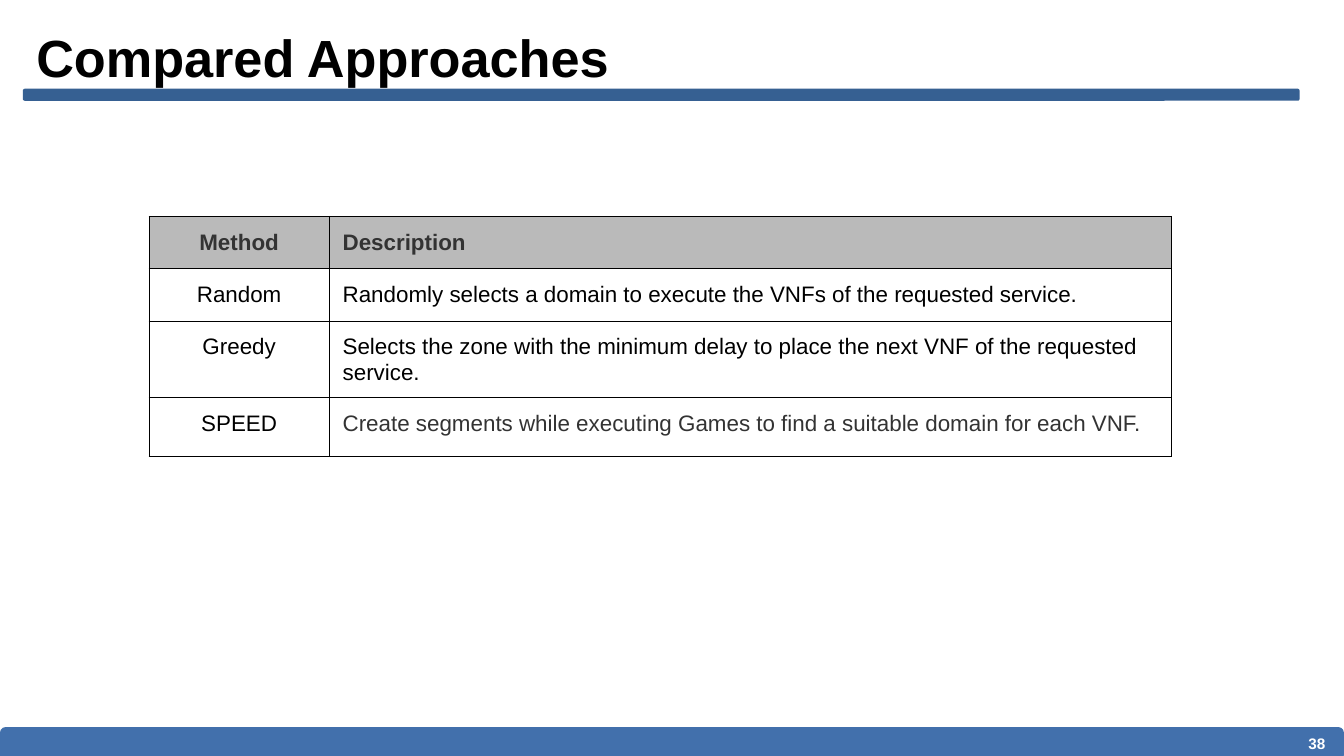
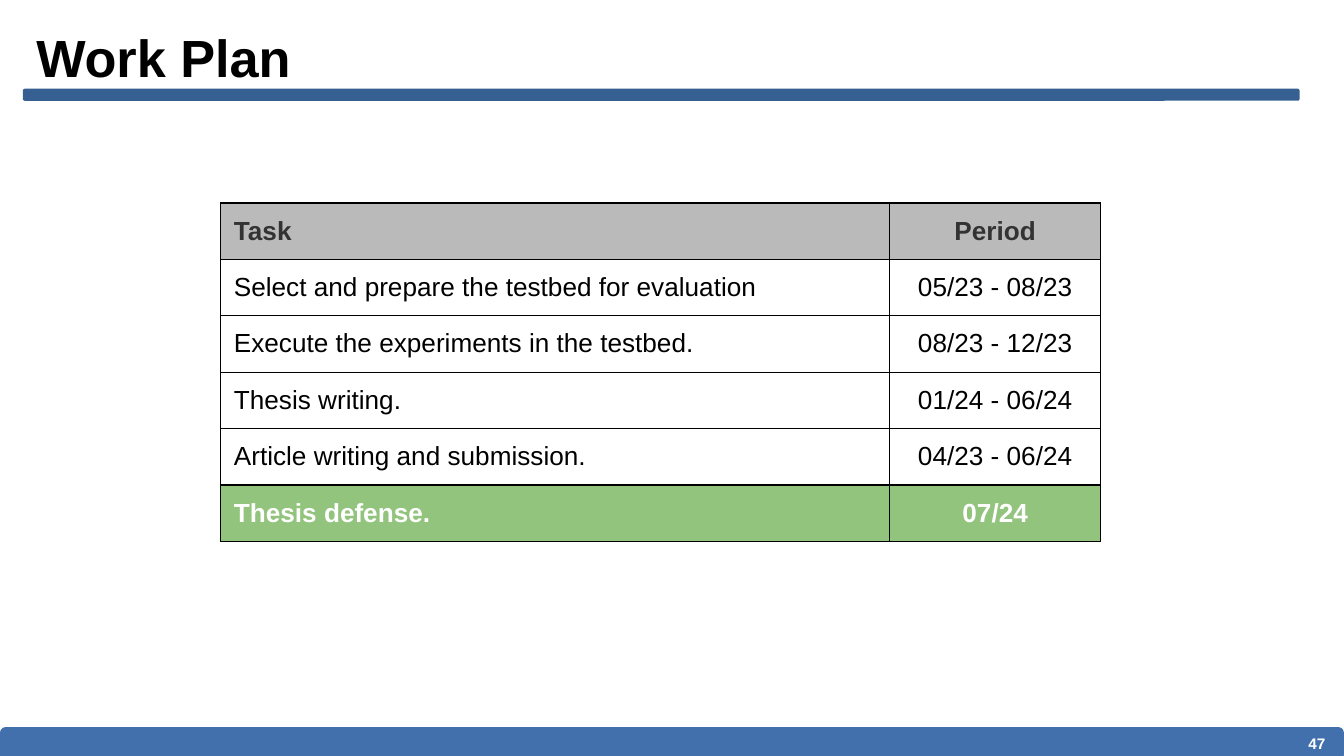
import pptx
import pptx.util
import pptx.dml.color
import pptx.enum.shapes
import pptx.enum.text
import pptx.oxml
import pptx.oxml.ns

FONT = "Arial"
WIDE, HIGH = 10, 5.625
BLACK, WHITE, DARK = "000000", "FFFFFF", "333333"
GRAY, GREEN = "BABABA", "93C47D"
BANDS = [  # left, top, width, height, colour
    (0, 5.41, WIDE, 0.25, "4270AC"),
    (0.17, 0.66, 0.95 * WIDE, 0.09, "366092"),
]

# Row looks: fill, text colour, bold
HEAD, BODY, GOAL = (GRAY, DARK, True), (WHITE, BLACK, False), (GREEN, WHITE, True)

# Content; each row is its height, its look and its cells
SLIDES = [
    dict(title="Compared Approaches", page="38", at=(1.11, 1.61),
         cols=(1.34, 6.27), align="cl", size=12, rows=[
             (0.39, HEAD, ("Method", "Description")),
             (0.39, BODY, ("Random", "Randomly selects a domain to execute the VNFs "
                           "of the requested service.")),
             (0.57, BODY, ("Greedy", "Selects the zone with the minimum delay to place "
                           "the next VNF of the requested service.")),
             (0.44, BODY, ("SPEED", "Create segments while executing Games to find a "
                           "suitable domain for each VNF.")),
         ], marks={(3, 1): dict(color=DARK, align="j")}),
    dict(title="Work Plan", page="47", at=(1.64, 1.51),
         cols=(4.98, 1.57), align="lc", size=14, rows=[
             (0.42, HEAD, ("Task", "Period")),
             (0.42, BODY, ("Select and prepare the testbed for evaluation", "05/23 - 08/23")),
             (0.42, BODY, ("Execute the experiments in the testbed.", "08/23 - 12/23")),
             (0.42, BODY, ("Thesis writing.", "01/24 - 06/24")),
             (0.42, BODY, ("Article writing and submission.", "04/23 - 06/24")),
             (0.42, GOAL, ("Thesis defense.", "07/24")),
         ], marks={}),
]

inch = pptx.util.Inches
ALIGN = dict(zip("lcrj", (
    pptx.enum.text.PP_ALIGN.LEFT, pptx.enum.text.PP_ALIGN.CENTER,
    pptx.enum.text.PP_ALIGN.RIGHT, pptx.enum.text.PP_ALIGN.JUSTIFY)))
ANCHOR = pptx.enum.text.MSO_ANCHOR


def paint(fill, color):
    fill.solid()
    fill.fore_color.rgb = pptx.dml.color.RGBColor.from_string(color)


def write(frame, text, size=12, color=BLACK, bold=False, align="l"):
    frame.word_wrap = True
    para = frame.paragraphs[0]
    para.alignment = ALIGN[align]
    run = para.add_run()
    run.text = text
    run.font.name, run.font.size, run.font.bold = FONT, pptx.util.Pt(size), bold
    paint(run.font.fill, color)


def pad(item, side, top, base):
    item.margin_left = item.margin_right = inch(side)
    item.margin_top, item.margin_bottom = inch(top), inch(base)


def place(shape, *box):
    shape.left, shape.top, shape.width, shape.height = map(inch, box)


def edge(cell, width=0.75):
    """Draw the four cell borders; they must precede the fill."""
    props = cell._tc.get_or_add_tcPr()
    for spot, side in enumerate("LRTB"):
        props.insert(spot, pptx.oxml.parse_xml(
            f'<a:ln{side} {pptx.oxml.ns.nsdecls("a")} w="{pptx.util.Pt(width)}">'
            f'<a:solidFill><a:srgbClr val="{BLACK}"/></a:solidFill></a:ln{side}>'))


def add_bands(slide):
    """Draw the bands once and hand them to the shared layout."""
    for *box, color in BANDS:
        band = slide.shapes.add_shape(
            pptx.enum.shapes.MSO_SHAPE.ROUNDED_RECTANGLE, *map(inch, box))
        band.adjustments[0] = 0.167
        band.shadow.inherit = False
        paint(band.fill, color)
        band.line.fill.background()
        slide.slide_layout.shapes.element.append(band.element)


def add_frame(slide, title, page):
    head = slide.shapes.title
    place(head, 0.17, 0.14, 0.95 * WIDE, 0.52)
    frame = head.text_frame
    frame.auto_size = pptx.enum.text.MSO_AUTO_SIZE.NONE
    frame.vertical_anchor = ANCHOR.TOP
    pad(frame, 0.1, 0.05, 0)
    write(frame, title, size=28, bold=True)

    # Page number
    frame = slide.shapes.add_textbox(*map(inch, (8.79, 5.45, 1.17, 0.17))).text_frame
    frame.vertical_anchor = ANCHOR.MIDDLE
    pad(frame, 0.1, 0.05, 0.05)
    write(frame, page, size=8.2, color=WHITE, bold=True, align="r")


def add_grid(slide, at, cols, align, size, rows, marks):
    tall = [row[0] for row in rows]
    grid = slide.shapes.add_table(
        len(rows), len(cols), *map(inch, (*at, sum(cols), sum(tall)))).table
    for col, width in zip(grid.columns, cols):
        col.width = inch(width)
    for r, (height, (fill, color, bold), texts) in enumerate(rows):
        grid.rows[r].height = inch(height)
        for c, text in enumerate(texts):
            cell = grid.cell(r, c)
            pad(cell, 0.1, 0.1, 0.06)  # a slim base keeps rows at their set height
            paint(cell.fill, fill)
            edge(cell)
            look = dict(size=size, color=color, bold=bold, align=align[c])
            write(cell.text_frame, text, **(look | marks.get((r, c), {})))


def main():
    deck = pptx.Presentation()
    deck.slide_width, deck.slide_height = inch(WIDE), inch(HIGH)
    layout = deck.slide_layouts[5]
    for num, data in enumerate(SLIDES):
        slide = deck.slides.add_slide(layout)
        if num == 0:
            add_bands(slide)
        add_frame(slide, data["title"], data["page"])
        add_grid(slide, **{key: val for key, val in data.items()
                           if key not in ("title", "page")})
    deck.save("out.pptx")


if __name__ == "__main__":
    main()
